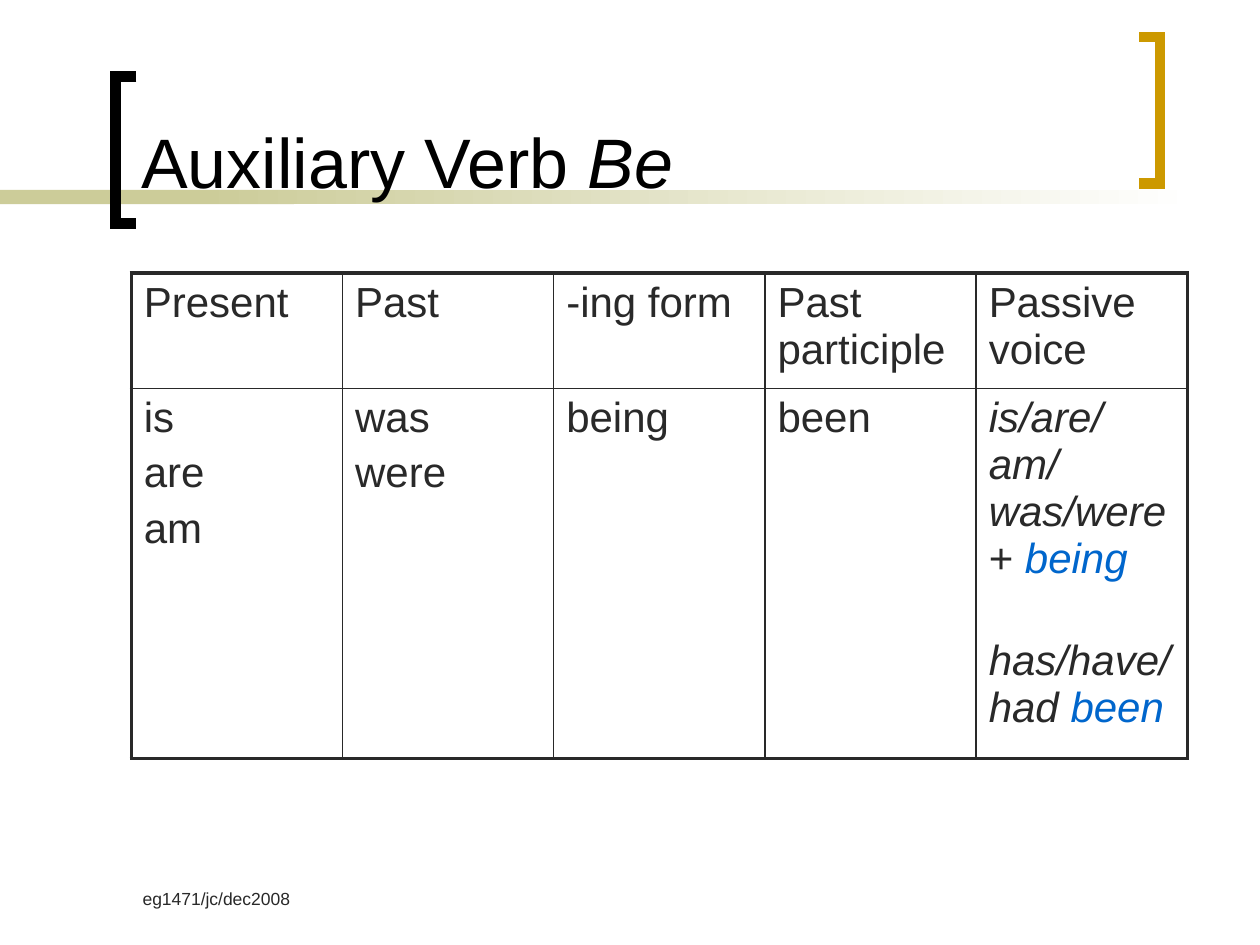
import dataclasses

import lxml.etree
import pptx
import pptx.dml.color
import pptx.enum.shapes
import pptx.enum.text
import pptx.oxml.ns
import pptx.util

rgb = pptx.dml.color.RGBColor.from_string
qn = pptx.oxml.ns.qn
Pt = pptx.util.Pt


@dataclasses.dataclass(frozen=True)
class Theme:
    font: str = "Arial"
    ink: str = "292929"
    black: str = "000000"
    gold: str = "CC9900"
    sage: str = "CCCC99"
    white: str = "FFFFFF"
    blue: str = "0066CC"
    title_size: int = 40
    table_size: int = 24
    footer_size: int = 10
    bracket_line: int = 6
    outer_line: float = 2.25
    inner_line: int = 1


@dataclasses.dataclass(frozen=True)
class Box:
    left: float
    top: float
    width: float
    height: float

    def emu(self):
        return [grid(v) for v in (self.left, self.top, self.width, self.height)]


THEME = Theme()
PAGE = Box(0, 0, 120, 90)  # columns and rows of a twelfth of an inch

HEADINGS = ["Present", "Past", "-ing form", "Past participle", "Passive voice"]
# Each cell is a list of paragraphs, each a list of (text, italic, colour)
INK, BLUE = THEME.ink, THEME.blue
FORMS = [
    [[(word, False, INK)] for word in words]
    for words in (["is", "are", "am"], ["was", "were"], ["being"], ["been"])
] + [[
    [("is/are/am/was/were ", True, INK), ("+ ", False, INK), ("being", True, BLUE)],
    [("has/have/ had ", True, INK), ("been", True, BLUE)],
]]
ROWS = [[[[(text, False, INK)]] for text in HEADINGS], FORMS]


def grid(cells):
    return pptx.util.Inches(cells / 12)


def write_para(para, spans, size):
    para.font.name, para.font.size = THEME.font, Pt(size)
    for text, italic, colour in spans:
        span = para.add_run()
        span.text = text
        span.font.italic = italic
        span.font.color.rgb = rgb(colour)


def add_text(page, box, spans, size, anchor):
    frame = page.shapes.add_textbox(*box.emu()).text_frame
    frame.word_wrap = True
    frame.vertical_anchor = anchor
    write_para(frame.paragraphs[0], spans, size)
    return frame


def add_band(page, box):
    """Solid strip followed by one that fades to white."""
    solid_width, fade_left = 28, 19
    solid = Box(box.left, box.top, solid_width, box.height)
    fade = Box(box.left + fade_left, box.top, box.width - fade_left, box.height)
    for part in (solid, fade):
        strip = page.shapes.add_shape(
            pptx.enum.shapes.MSO_SHAPE.RECTANGLE, *part.emu())
        strip.shadow.inherit = False
        strip.line.fill.background()
        if part is solid:
            strip.fill.solid()
            strip.fill.fore_color.rgb = rgb(THEME.sage)
        else:
            strip.fill.gradient()
            strip.fill.gradient_angle = 0
            for stop, colour in zip(strip.fill.gradient_stops,
                                    (THEME.sage, THEME.white)):
                stop.color.rgb = rgb(colour)


def add_bracket(page, box, colour, opens_right):
    near, far = box.left, box.left + box.width
    tip, spine = (far, near) if opens_right else (near, far)
    bottom = box.top + box.height
    points = [(grid(x), grid(y)) for x, y in
              ((tip, box.top), (spine, box.top), (spine, bottom), (tip, bottom))]
    builder = page.shapes.build_freeform(*points[0])
    builder.add_line_segments(points[1:], close=False)
    bracket = builder.convert_to_shape()
    bracket.shadow.inherit = False
    bracket.fill.background()
    bracket.line.color.rgb = rgb(colour)
    bracket.line.width = Pt(THEME.bracket_line)
    line = bracket.line._get_or_add_ln()
    lxml.etree.SubElement(line, qn("a:miter"), lim="800000")


def set_borders(cell, outer_sides):
    properties = cell._tc.get_or_add_tcPr()
    for index, side in enumerate("LRTB"):
        weight = THEME.outer_line if side in outer_sides else THEME.inner_line
        line = lxml.etree.Element(qn("a:ln" + side), w=str(Pt(weight)))
        fill = lxml.etree.SubElement(line, qn("a:solidFill"))
        lxml.etree.SubElement(fill, qn("a:srgbClr"), val=THEME.ink)
        properties.insert(index, line)


def add_verb_table(page, box, header_height):
    last_row, last_column = len(ROWS) - 1, len(HEADINGS) - 1
    table = page.shapes.add_table(
        len(ROWS), len(HEADINGS), *box.emu()).table
    table.first_row = table.horz_banding = False
    table.rows[0].height = grid(header_height)
    table.rows[1].height = grid(box.height - header_height)
    for column in table.columns:
        column.width = grid(box.width / len(HEADINGS))
    for r, row in enumerate(ROWS):
        for c, paras in enumerate(row):
            cell = table.cell(r, c)
            cell.fill.background()
            edges = {"L": c == 0, "R": c == last_column,
                     "T": r == 0, "B": r == last_row}
            set_borders(cell, [side for side, outer in edges.items() if outer])
            # The two passive patterns stand a line apart
            gap = 31.5 if c == last_column else 4.8
            for i, spans in enumerate(paras):
                frame = cell.text_frame
                para = frame.add_paragraph() if i else frame.paragraphs[0]
                write_para(para, spans, THEME.table_size)
                if i:
                    para.space_before = Pt(gap)


def build_page(page, box):
    anchors = pptx.enum.text.MSO_ANCHOR
    # Header decoration
    add_band(page, Box(box.left, box.top + 18.1, 114, 1.35))
    add_bracket(page, Box(box.left + 11, box.top + 7.3, 2, 14), THEME.black, True)
    add_bracket(page, Box(box.left + 108.5, box.top + 3.5, 2, 14), THEME.gold, False)
    # Footer
    footer = add_text(page, Box(box.left + 12.4, box.top + 82, 25, 6),
                      [("eg1471/jc/dec2008", False, THEME.ink)],
                      THEME.footer_size, anchors.TOP)
    footer.margin_top = grid(2.6)
    # Title
    add_text(page, Box(box.left + 12.25, box.top + 1.3, 94, 18.6),
             [("Auxiliary Verb ", False, THEME.black), ("Be", True, THEME.black)],
             THEME.title_size, anchors.BOTTOM)
    # Verb forms
    add_verb_table(page, Box(box.left + 12.5, box.top + 26, 100.6, 44.2), 11)


deck = pptx.Presentation()
deck.slide_width, deck.slide_height = grid(PAGE.width), grid(PAGE.height)
build_page(deck.slides.add_slide(deck.slide_layouts[6]), PAGE)
deck.save("out.pptx")
